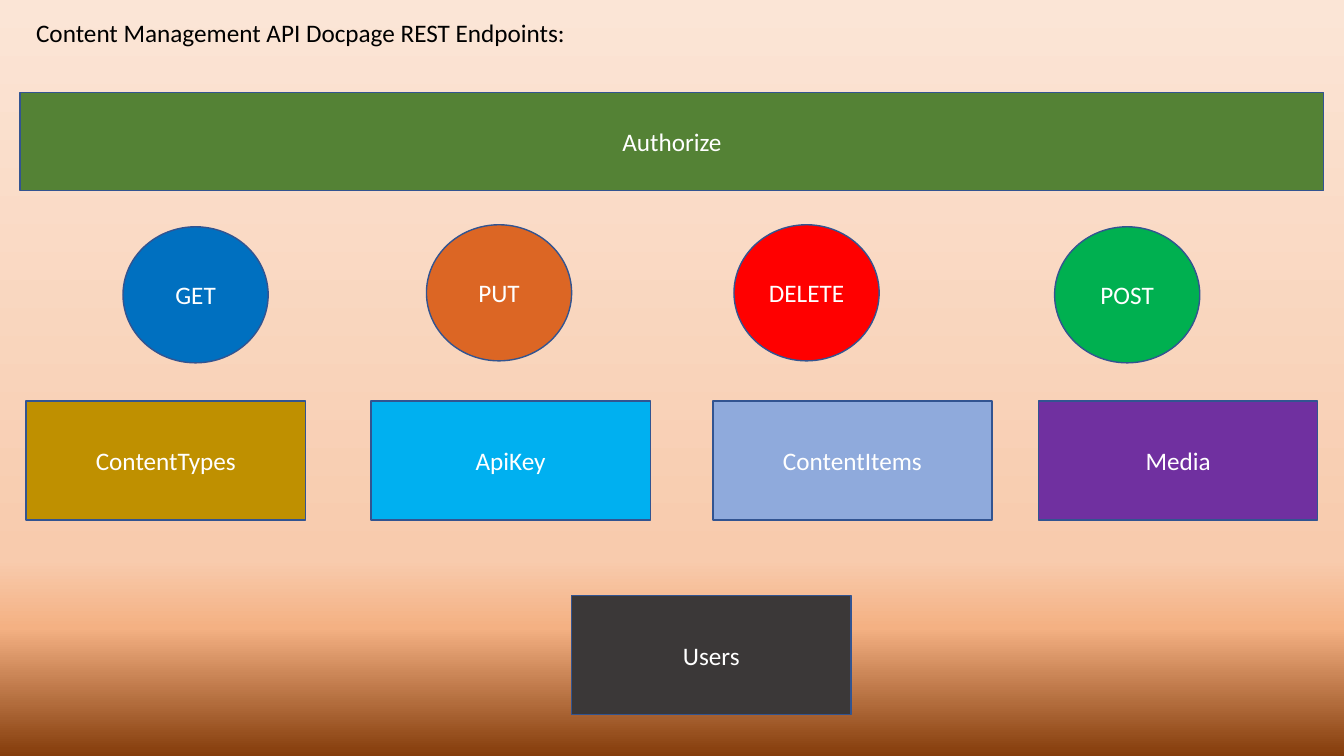
from copy import deepcopy

from pptx import Presentation
from pptx.dml.color import RGBColor
from pptx.enum.shapes import MSO_SHAPE
from pptx.enum.text import MSO_ANCHOR, MSO_AUTO_SIZE, PP_ALIGN
from pptx.oxml.ns import qn
from pptx.util import Inches, Pt

RECT, OVAL = MSO_SHAPE.RECTANGLE, MSO_SHAPE.OVAL
MIDDLE, CENTER = MSO_ANCHOR.MIDDLE, PP_ALIGN.CENTER
GROW = MSO_AUTO_SIZE.SHAPE_TO_FIT_TEXT

WIDE, HIGH = 13.33, 7.5
EDGE, WHITE, BLACK = "325491", "FFFFFF", "000000"
SKY = [(0, "FBE5D6"), (0.74, "F8CBAD"), (0.83, "F4B183"), (1, "843C0B")]
VERBS = [
    ("GET", "0070C0", 1.22, 0.02),
    ("PUT", "DC6624", 4.23, 0),
    ("DELETE", "FF0000", 7.28, 0),
    ("POST", "00B050", 10.46, 0.02),
]
PARTS = [
    ("ContentTypes", "BF9000", 0.26, 0),
    ("ApiKey", "00B0F0", 3.68, 0),
    ("ContentItems", "8FAADC", 7.07, 0),
    ("Media", "7030A0", 10.3, 0),
]
USERS = [("Users", "3B3838", 5.67, 0)]
BAR = [("Authorize", "548235", 0.2, 0)]


def paint(code):
    """Turn a hex string into a colour."""
    return RGBColor.from_string(code)


def write(frame, text, color):
    """Add one run of text to a frame."""
    frame.word_wrap = True
    run = frame.paragraphs[0].add_run()
    run.text = text
    run.font.name = "Calibri"
    run.font.size = Pt(18)
    run.font.color.rgb = paint(color)


def backdrop(slide, stops):
    """Fill the background from top to bottom with colour stops."""
    fill = slide.background.fill
    fill.gradient()
    fill.gradient_angle = 270
    group = next(slide.element.iter(qn("a:gsLst")))
    while len(group) < len(stops):
        group.append(deepcopy(group[0]))
    for stop, (place, color) in zip(fill.gradient_stops, stops):
        stop.position = place
        stop.color.rgb = paint(color)


def title(slide, box, text):
    """Place the heading in its box."""
    frame = slide.shapes.add_textbox(*map(Inches, box)).text_frame
    write(frame, text, BLACK)
    frame.auto_size = GROW


def row(slide, kind, top, size, items):
    """Place a row of equal labelled shapes, each with its left and drop."""
    for text, color, left, drop in items:
        box = (left, top + drop, *size)
        shape = slide.shapes.add_shape(kind, *map(Inches, box))
        shape.shadow.inherit = False
        shape.fill.solid()
        shape.fill.fore_color.rgb = paint(color)
        shape.line.color.rgb = paint(EDGE)
        shape.line.width = Pt(1)
        frame = shape.text_frame
        frame.vertical_anchor = MIDDLE
        frame.paragraphs[0].alignment = CENTER
        write(frame, text, WHITE)


def main():
    """Build the slide and save it."""
    deck = Presentation()
    deck.slide_width, deck.slide_height = Inches(WIDE), Inches(HIGH)
    slide = deck.slides.add_slide(deck.slide_layouts[6])
    card = (2.77, 1.18)
    backdrop(slide, SKY)
    title(slide, (0.26, 0.12, 6.27, 0.4),
          "Content Management API Docpage REST Endpoints:")
    row(slide, RECT, 3.98, card, PARTS)
    row(slide, RECT, 5.91, card, USERS)
    row(slide, OVAL, 2.23, (1.44, 1.35), VERBS)
    row(slide, RECT, 0.92, (WIDE - 0.4, 0.97), BAR)
    deck.save("out.pptx")


if __name__ == "__main__":
    main()
